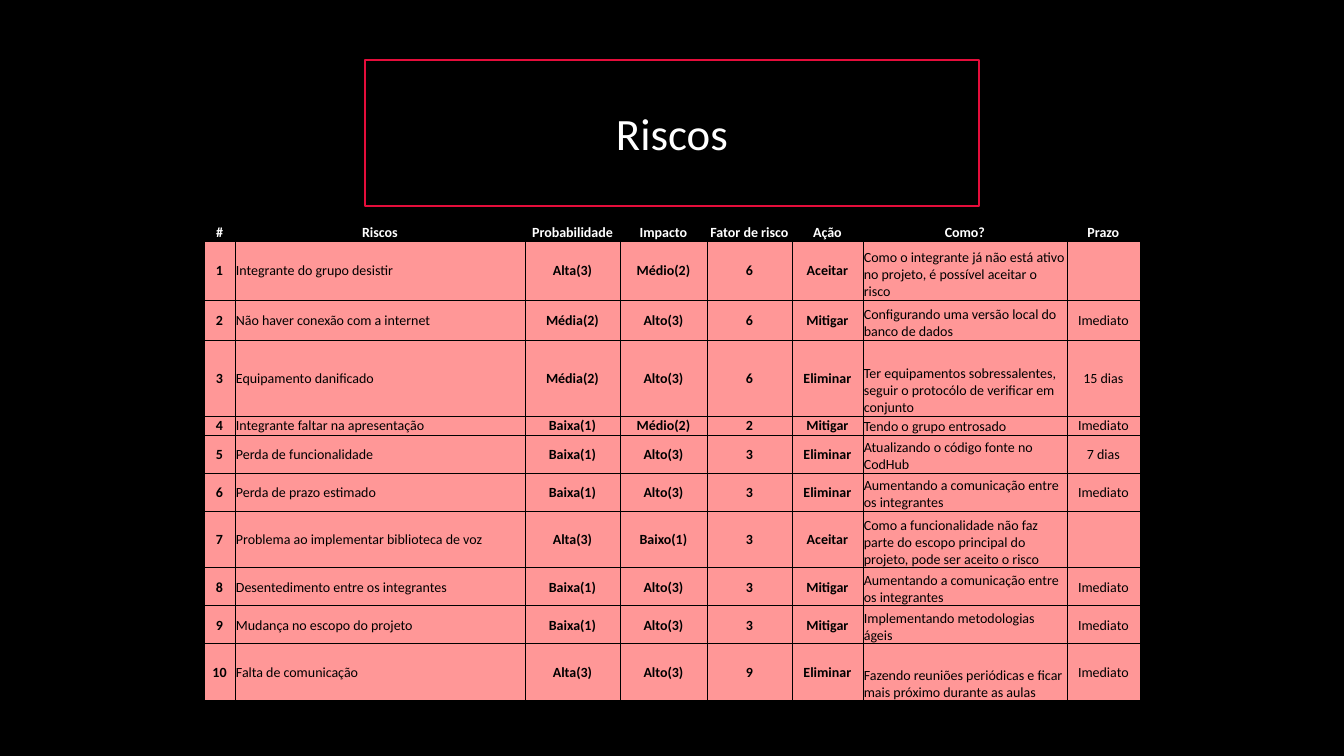
"""Build the project risk slide: a framed title above a table of risks."""
from dataclasses import astuple, dataclass
from typing import Any

from lxml.etree import SubElement
from pptx import Presentation
from pptx.dml.color import RGBColor
from pptx.enum.text import MSO_ANCHOR as Anchor
from pptx.enum.text import MSO_AUTO_SIZE as AutoSize
from pptx.enum.text import PP_ALIGN as Align
from pptx.oxml.ns import qn
from pptx.util import Emu, Pt

EMU_PER_PX = 914400 / 100.8


@dataclass(frozen=True)
class Theme:
    font: str = "Calibri"
    black: str = "000000"
    white: str = "FFFFFF"
    frame: str = "E50D3B"
    row: str = "FF9797"
    title_size: int = 32
    table_size: int = 10
    frame_width: float = 1
    border_width: float = 0.5


@dataclass(frozen=True)
class Column:
    heading: str
    width: int
    align: Align = Align.CENTER
    anchor: Anchor = Anchor.MIDDLE
    bold: bool = True


@dataclass(frozen=True)
class Risk:
    name: str
    probability: str
    impact: str
    factor: int
    action: str
    response: str
    deadline: str


@dataclass(frozen=True)
class Box:
    left: int
    top: int
    width: int
    height: int


THEME = Theme()
SLIDE_WIDTH, SLIDE_HEIGHT = 1344, 756
TITLE_BOX = Box(365, 60, 614, 146)
TABLE_LEFT, TABLE_TOP = 204, 222
ROW_HEIGHTS = [19, 59, 40, 76, 19, 38, 38, 57, 38, 38, 57]
COLUMNS = [
    Column("#", 31),
    Column("Riscos", 290, Align.LEFT, bold=False),
    Column("Probabilidade", 95),
    Column("Impacto", 87),
    Column("Fator de risco", 85),
    Column("Ação", 71),
    Column("Como?", 204, Align.LEFT, Anchor.BOTTOM, False),
    Column("Prazo", 73, bold=False),
]
RISKS = [
    Risk("Integrante do grupo desistir", "Alta(3)", "Médio(2)", 6, "Aceitar",
         "Como o integrante já não está ativo no projeto, é possível aceitar o risco", ""),
    Risk("Não haver conexão com a internet", "Média(2)", "Alto(3)", 6, "Mitigar",
         "Configurando uma versão local do banco de dados", "Imediato"),
    Risk("Equipamento danificado", "Média(2)", "Alto(3)", 6, "Eliminar",
         "Ter equipamentos sobressalentes, seguir o protocólo de verificar em conjunto", "15 dias"),
    Risk("Integrante faltar na apresentação", "Baixa(1)", "Médio(2)", 2, "Mitigar",
         "Tendo o grupo entrosado", "Imediato"),
    Risk("Perda de funcionalidade", "Baixa(1)", "Alto(3)", 3, "Eliminar",
         "Atualizando o código fonte no CodHub", "7 dias"),
    Risk("Perda de prazo estimado", "Baixa(1)", "Alto(3)", 3, "Eliminar",
         "Aumentando a comunicação entre os integrantes", "Imediato"),
    Risk("Problema ao implementar biblioteca de voz", "Alta(3)", "Baixo(1)", 3, "Aceitar",
         "Como a funcionalidade não faz parte do escopo principal do projeto, "
         "pode ser aceito o risco", ""),
    Risk("Desentedimento entre os integrantes", "Baixa(1)", "Alto(3)", 3, "Mitigar",
         "Aumentando a comunicação entre os integrantes", "Imediato"),
    Risk("Mudança no escopo do projeto", "Baixa(1)", "Alto(3)", 3, "Mitigar",
         "Implementando metodologias ágeis", "Imediato"),
    Risk("Falta de comunicação", "Alta(3)", "Alto(3)", 9, "Eliminar",
         "Fazendo reuniões periódicas e ficar mais próximo durante as aulas", "Imediato"),
]


def px(length: int) -> Emu:
    return Emu(round(length * EMU_PER_PX))


def set_format(target: Any, values: dict[str, Any]) -> None:
    for name, value in values.items():
        setattr(target, name, value)


def set_fill(fill: Any, color: str) -> None:
    fill.solid()
    fill.fore_color.rgb = RGBColor.from_string(color)


def write_text(paragraph: Any, text: str, size: int, color: str, align: Align, bold: bool) -> None:
    paragraph.alignment = align
    if not text:
        return
    run = paragraph.add_run()
    run.text = text
    set_format(run.font, {"name": THEME.font, "size": Pt(size), "bold": bold})
    run.font.color.rgb = RGBColor.from_string(color)


def add_borders(cell: Any) -> None:
    properties = cell._tc.get_or_add_tcPr()
    for side in ("a:lnL", "a:lnR", "a:lnT", "a:lnB"):
        line = SubElement(properties, qn(side), w=str(Pt(THEME.border_width)))
        fill = SubElement(line, qn("a:solidFill"))
        SubElement(fill, qn("a:srgbClr"), val=THEME.black)


def draw_title(slide: Any, text: str) -> None:
    title = slide.shapes.title
    set_format(title, {name: px(getattr(TITLE_BOX, name))
                       for name in ("left", "top", "width", "height")})
    set_fill(title.fill, THEME.black)
    set_fill(title.line.fill, THEME.frame)
    title.line.width = Pt(THEME.frame_width)
    set_format(title.text_frame, {"word_wrap": True, "auto_size": AutoSize.NONE,
                                  "vertical_anchor": Anchor.MIDDLE})
    write_text(title.text_frame.paragraphs[0], text, THEME.title_size, THEME.white,
               Align.CENTER, False)


def draw_cell(cell: Any, text: str, column: Column, fill: str, color: str) -> None:
    add_borders(cell)
    set_fill(cell.fill, fill)
    set_format(cell, {"margin_left": px(1), "margin_right": px(1), "margin_top": px(1),
                      "margin_bottom": 0, "vertical_anchor": column.anchor})
    write_text(cell.text_frame.paragraphs[0], text, THEME.table_size, color,
               column.align, column.bold)


def draw_table(slide: Any) -> None:
    width = sum(column.width for column in COLUMNS)
    table = slide.shapes.add_table(len(ROW_HEIGHTS), len(COLUMNS), px(TABLE_LEFT), px(TABLE_TOP),
                                   px(width), px(sum(ROW_HEIGHTS))).table
    set_format(table, {"first_row": False, "horz_banding": False})
    for row, height in zip(table.rows, ROW_HEIGHTS):
        row.height = px(height)
    for index, column in enumerate(COLUMNS):
        table.columns[index].width = px(column.width)
        heading = Column(column.heading, column.width, anchor=Anchor.BOTTOM)
        draw_cell(table.cell(0, index), column.heading, heading, THEME.black, THEME.white)
    for number, risk in enumerate(RISKS, start=1):
        for index, value in enumerate((number, *astuple(risk))):
            draw_cell(table.cell(number, index), str(value), COLUMNS[index],
                      THEME.row, THEME.black)


def main() -> None:
    presentation = Presentation()
    set_format(presentation, {"slide_width": px(SLIDE_WIDTH), "slide_height": px(SLIDE_HEIGHT)})
    slide = presentation.slides.add_slide(presentation.slide_layouts[5])
    set_fill(slide.background.fill, THEME.black)
    draw_title(slide, "Riscos")
    draw_table(slide)
    presentation.save("out.pptx")


if __name__ == "__main__":
    main()
